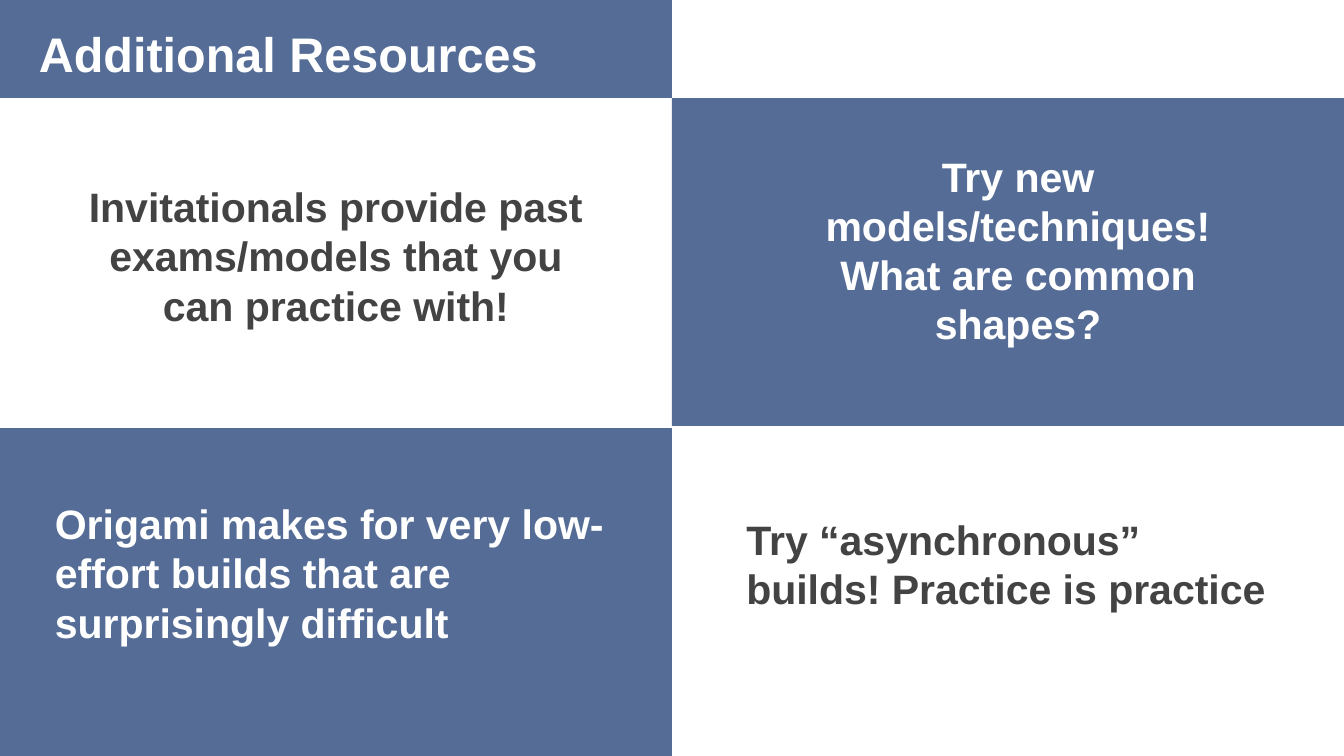
from pptx import Presentation
from pptx.dml.color import RGBColor as RGB
from pptx.enum.shapes import MSO_SHAPE as Shape
from pptx.enum.text import MSO_ANCHOR as Anchor, PP_ALIGN as Align
from pptx.util import Pt

SCALE = 4572
WIDE, HIGH = 2000, 1125
HALF = WIDE // 2
BLUE = RGB(0x55, 0x6D, 0x96)
WHITE = RGB(0xFF, 0xFF, 0xFF)
GRAY = RGB(0x43, 0x43, 0x43)


def emu(*px):
    return [n * SCALE for n in px]


def write(frame, text, font="Arial", size=22, color=GRAY, bold=True, align=Align.LEFT):
    para = frame.paragraphs[0]
    para.alignment = align
    run = para.add_run()
    run.text = text
    run.font.name = font
    run.font.size = Pt(size)
    run.font.bold = bold
    run.font.color.rgb = color


class Board:
    """Draws blue panels and bold text on one slide."""

    def __init__(self, slide, fill=BLUE, pad=20):
        self.shapes = slide.shapes
        self.fill = fill
        self.pad = pad * SCALE

    def panel(self, *box):
        shape = self.shapes.add_shape(Shape.RECTANGLE, *emu(*box))
        shape.shadow.inherit = False
        shape.fill.solid()
        shape.fill.fore_color.rgb = self.fill
        shape.line.fill.background()

    def label(self, box, text, **style):
        frame = self.shapes.add_textbox(*emu(*box)).text_frame
        frame.word_wrap = True
        frame.vertical_anchor = Anchor.BOTTOM
        frame.margin_left = frame.margin_right = self.pad
        frame.margin_top = frame.margin_bottom = self.pad
        write(frame, text, **style)


def main():
    deck = Presentation()
    deck.slide_width, deck.slide_height = emu(WIDE, HIGH)
    board = Board(deck.slides.add_slide(deck.slide_layouts[6]))

    head, tall = 146, 488
    board.panel(0, 0, HALF, head)
    board.panel(HALF, head, HALF, tall)
    board.panel(0, HIGH - tall, HALF, tall)

    board.label((38, 0, 1010, 142), "Additional Resources", size=26, color=WHITE)
    board.label((102, 270, 796, 240),
                "Invitationals provide past exams/models that you can practice with!",
                align=Align.CENTER)
    board.label((1128, 238, 774, 300),
                "Try new models/techniques! What are common shapes?",
                color=WHITE, align=Align.CENTER)
    board.label((62, 840, 962, 142),
                "Origami makes for very low-effort builds that are surprisingly difficult",
                color=WHITE)
    board.label((1091, 790, 826, 142),
                "Try “asynchronous” builds! Practice is practice")

    deck.save("out.pptx")


if __name__ == "__main__":
    main()
